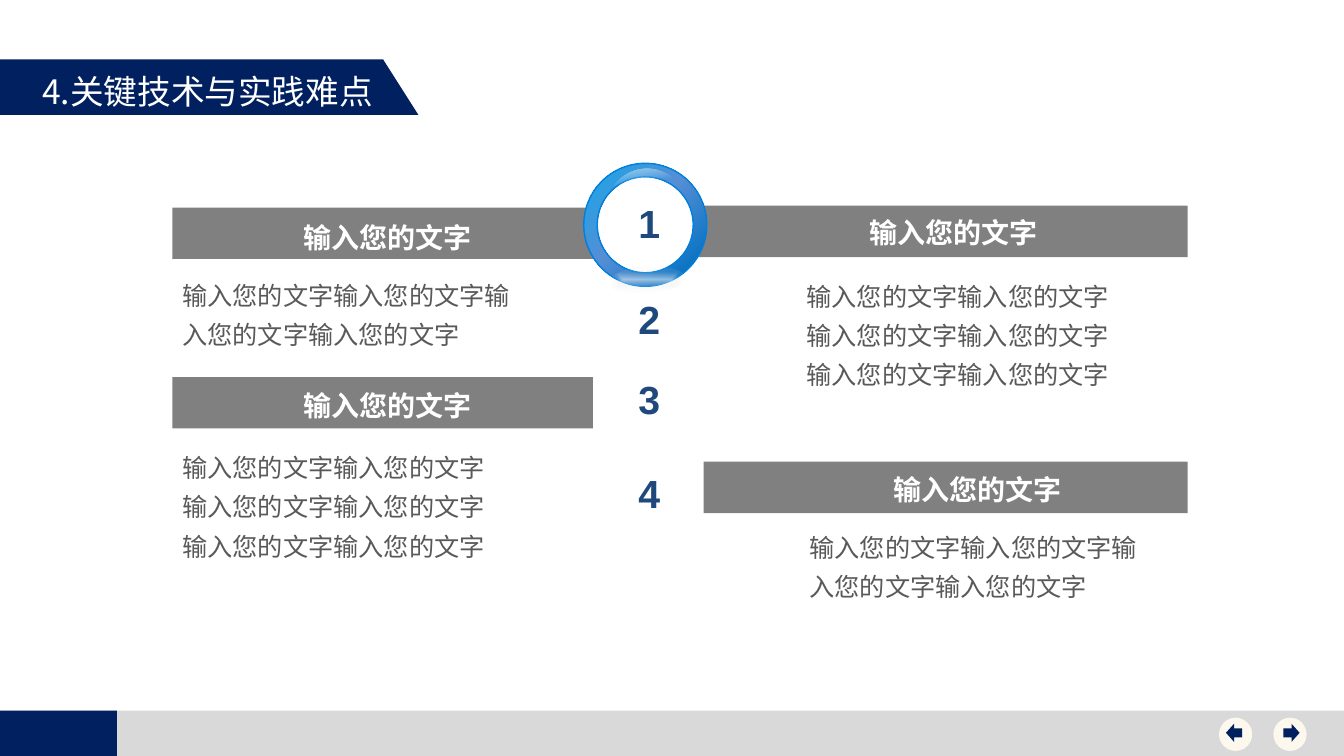
from lxml.etree import SubElement
from pptx import Presentation
from pptx.dml.color import RGBColor
from pptx.enum.shapes import MSO_SHAPE
from pptx.enum.text import MSO_ANCHOR, MSO_AUTO_SIZE, PP_ALIGN
from pptx.oxml.ns import qn
from pptx.util import Inches, Pt

NAVY, GRAY, CREAM = "002060", "808080", "FCF8ED"
CHINESE_FONT = "Noto Sans CJK SC"
PHRASE = "输入您的文字"

# Bar box, heading position, body box, number of phrases in the body
PANELS = [
    ((1.71, 2.06, 4.21), (2.69, 2.11), (1.71, 2.64, 3.48, 0.89), 4),
    ((1.71, 3.74, 4.17), (2.69, 3.77), (1.71, 4.35, 3.43, 1.28), 6),
    ((6.9, 2.04, 4.88), (8.3, 2.06), (7.9, 2.65, 3.43, 1.28), 6),
    ((6.98, 4.58, 4.8), (8.54, 4.61), (7.93, 5.14, 3.48, 0.89), 4),
]
NUMBER_TOPS = [1.93, 2.88, 3.67, 4.61]


def color(value):
    return RGBColor.from_string(value)


def place(shape, box):
    shape.left, shape.top, shape.width, shape.height = map(Inches, box)


def add_block(slide, kind, box, fill=None, rotation=0):
    shape = slide.shapes.add_shape(kind, *map(Inches, box))
    shape.shadow.inherit = False
    shape.rotation = rotation
    shape.line.fill.background()
    if fill:
        shape.fill.solid()
        shape.fill.fore_color.rgb = color(fill)
    return shape


def write_text(shape, text, size=18, font=CHINESE_FONT, fill="FFFFFF",
               bold=False, align=PP_ALIGN.LEFT, spacing=1.0):
    frame = shape.text_frame
    frame.word_wrap = True
    frame.auto_size = MSO_AUTO_SIZE.SHAPE_TO_FIT_TEXT
    frame.vertical_anchor = MSO_ANCHOR.TOP
    paragraph = frame.paragraphs[0]
    paragraph.alignment = align
    paragraph.line_spacing = spacing
    run = paragraph.add_run()
    run.text = text
    run.font.size = Pt(size)
    run.font.bold = bold
    run.font.color.rgb = color(fill)
    run.font.name = font
    SubElement(run.font._element, qn("a:ea"), typeface=font)


def add_text(slide, box, text, **style):
    write_text(slide.shapes.add_textbox(*map(Inches, box)), text, **style)


def set_gradient(shape, stops, angle=None, form=None, focus=()):
    """Fill with (position, colour, opacity) stops, all numbers in percent."""
    shape.fill.gradient()
    gradient = shape.element.spPr.find(qn("a:gradFill"))
    for child in list(gradient):
        gradient.remove(child)
    stop_list = SubElement(gradient, qn("a:gsLst"))
    for position, value, opacity in stops:
        stop = SubElement(stop_list, qn("a:gs"), pos=str(position * 1000))
        tint = SubElement(stop, qn("a:srgbClr"), val=value)
        SubElement(tint, qn("a:alpha"), val=str(opacity * 1000))
    if form:
        shading = SubElement(gradient, qn("a:path"), {"path": form})
        edges = {side: str(share * 1000) for side, share in zip("ltrb", focus)}
        SubElement(shading, qn("a:fillToRect"), edges)
    else:
        SubElement(gradient, qn("a:lin"), ang=str(angle * 60000), scaled="0")


def add_title(slide):
    # The ribbon is long enough for the whole title on one line
    top, length, height = 0.59, 3.8, 0.55
    add_block(slide, MSO_SHAPE.RECTANGLE, (0, top, length, height), NAVY)
    add_block(slide, MSO_SHAPE.RIGHT_TRIANGLE, (length, top, 0.35, height), NAVY)
    title = slide.shapes.title
    place(title, (0.32, 0.65, 3.75, 0.5))
    write_text(title, "4.关键技术与实践难点", size=24)
    # Bring the title in front of its ribbon
    title.element.getparent().append(title.element)


def add_footer(slide):
    add_block(slide, MSO_SHAPE.RECTANGLE, (0, 7.05, 13.33, 0.46), "D9D9D9")
    add_block(slide, MSO_SHAPE.RECTANGLE, (0, 7.05, 1.16, 0.46), NAVY)


def add_page_button(slide, left, arrow, arrow_left):
    add_block(slide, MSO_SHAPE.OVAL, (left, 7.12, 0.33, 0.33), CREAM)
    add_block(slide, arrow, (arrow_left, 7.18, 0.16, 0.18), NAVY)


def add_ring(slide):
    ring = add_block(slide, MSO_SHAPE.DONUT, (5.79, 1.62, 1.22, 1.22), rotation=21.1)
    ring.adjustments[0] = 0.11
    set_gradient(ring, [(0, "00B0F0", 100), (47, "558ED5", 100), (82, "0070C0", 100)],
                 form="circle", focus=(0, 0, 100, 100))
    ring.line.color.rgb = color("007FDE")
    ring.line.width = Pt(1)
    # Glossy highlights at the bottom and top
    glow = add_block(slide, MSO_SHAPE.OVAL, (6.05, 2.65, 0.74, 0.25), rotation=356.5)
    set_gradient(glow, [(0, "FFFFFF", 55), (50, "D7D7D7", 12), (100, "FFFFFF", 0)],
                 form="shape", focus=(50, 50, 50, 50))
    shine = add_block(slide, MSO_SHAPE.OVAL, (6.02, 1.67, 0.8, 0.8), rotation=36.3)
    set_gradient(shine, [(0, "FFFFFF", 0), (16, "FFFFFF", 51), (30, "FFFFFF", 0)], angle=45)


def add_panel_text(slide, heading, body, count):
    add_text(slide, (*heading, 2.31, 0.47), PHRASE, size=20, bold=True,
             align=PP_ALIGN.CENTER, spacing=1.1)
    add_text(slide, body, PHRASE * count, fill="595959", spacing=1.3)


def main():
    presentation = Presentation()
    presentation.slide_width = Inches(13.33)
    presentation.slide_height = Inches(7.5)
    slide = presentation.slides.add_slide(presentation.slide_layouts[5])

    # Frame of the slide
    add_footer(slide)
    add_title(slide)
    add_page_button(slide, 12.63, MSO_SHAPE.RIGHT_ARROW, 12.73)
    add_page_button(slide, 12.09, MSO_SHAPE.LEFT_ARROW, 12.16)

    # Bars lie behind the ring
    for bar, *_ in PANELS:
        add_block(slide, MSO_SHAPE.RECTANGLE, (*bar, 0.51), GRAY)
    add_ring(slide)

    # Numbers and panel texts
    for number, top in enumerate(NUMBER_TOPS, start=1):
        add_text(slide, (6.2, top, 0.48, 0.57), str(number), size=28, font="Arial",
                 fill="1F497D", bold=True, align=PP_ALIGN.CENTER)
    for _, heading, body, count in PANELS:
        add_panel_text(slide, heading, body, count)

    presentation.save("out.pptx")


if __name__ == "__main__":
    main()
